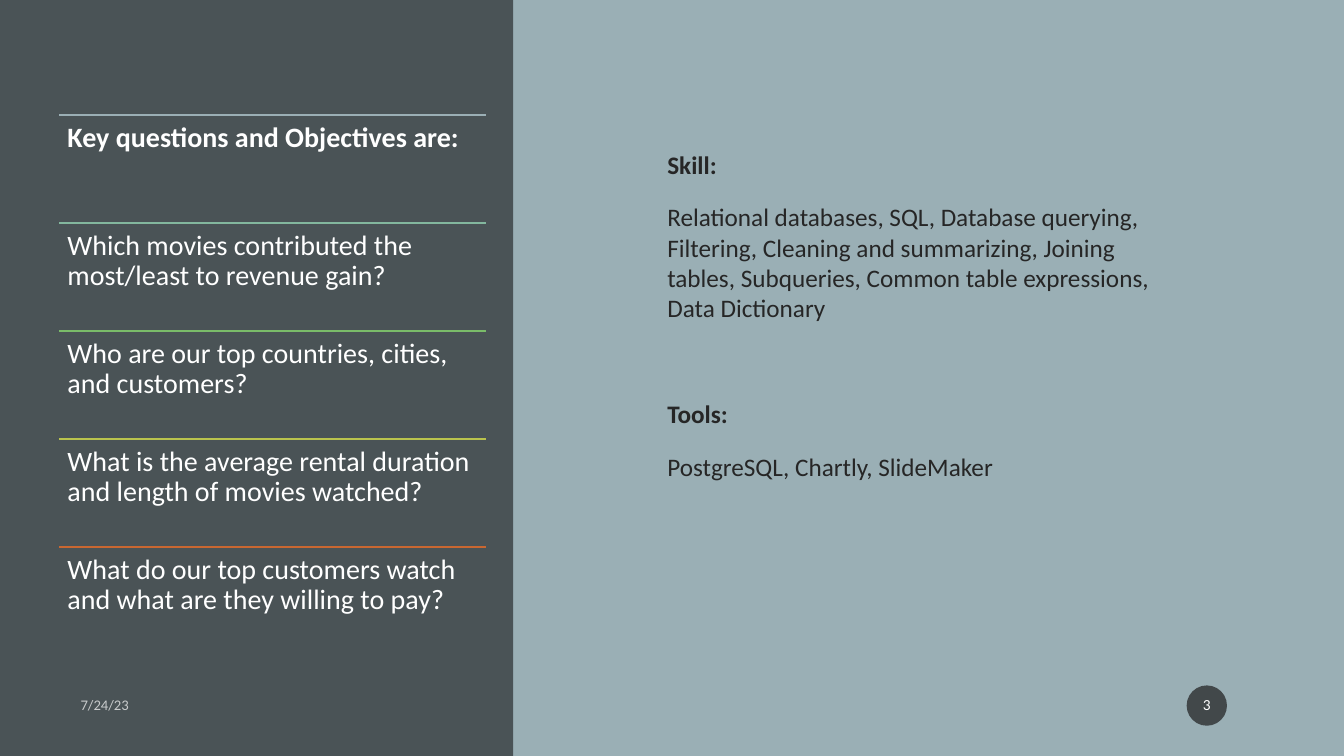
from lxml.etree import SubElement
from pptx import Presentation
from pptx.dml.color import RGBColor
from pptx.enum.shapes import MSO_CONNECTOR, MSO_SHAPE
from pptx.enum.text import MSO_ANCHOR, PP_ALIGN
from pptx.oxml.ns import qn
from pptx.util import Inches, Pt

WIDTH, HEIGHT = Inches(13.33), Inches(7.5)
COLUMN, ROW = WIDTH / 160, HEIGHT / 90

MIST = RGBColor(0x9A, 0xAF, 0xB5)
SLATE = RGBColor(0x4A, 0x53, 0x56)
INK = RGBColor(0x26, 0x26, 0x26)
BADGE = RGBColor(0x1D, 0x1D, 0x1D)
WHITE = RGBColor(0xFF, 0xFF, 0xFF)
STEEL = RGBColor(0x9B, 0xAF, 0xB5)
SAGE = RGBColor(0x83, 0xB7, 0x9E)
GREEN = RGBColor(0x7A, 0xBC, 0x69)
LIME = RGBColor(0xBA, 0xC3, 0x4D)
RUST = RGBColor(0xC9, 0x67, 0x31)

QUESTIONS = [
    ("Key questions and Objectives are:", STEEL),
    ("Which movies contributed the most/least to revenue gain?", SAGE),
    ("Who are our top countries, cities, and customers?", GREEN),
    ("What is the average rental duration and length of movies watched?", LIME),
    ("What do our top customers watch and what are they willing to pay?", RUST),
]
SKILLS = [
    ("Skill:", True, 0),
    ("Relational databases, SQL, Database querying, Filtering, Cleaning and "
     "summarizing, Joining tables, Subqueries, Common table expressions, "
     "Data Dictionary", False, 10),
    ("Tools:", True, 48),
    ("PostgreSQL, Chartly, SlideMaker", False, 10),
]


def place(box):
    """Turn a box in grid columns and rows into slide lengths."""
    left, top, width, height = box
    return (round(left * COLUMN), round(top * ROW),
            round(width * COLUMN), round(height * ROW))


def apply(target, values):
    """Set each attribute named in a dict of format values."""
    for name, value in values.items():
        setattr(target, name, value)


def fade(fill, percent):
    """Make a solid fill partly transparent."""
    color = next(fill.iter(qn("a:srgbClr")))
    SubElement(color, qn("a:alpha"), val=str(percent * 1000))


def write(paragraph, text, color, size, bold=False, **layout):
    """Write one run of text in a paragraph and return it."""
    run = paragraph.add_run()
    run.text = text
    apply(run.font, {"name": "Calibri", "size": Pt(size), "bold": bold})
    run.font.color.rgb = color
    apply(paragraph, layout)
    return run


def add_text_frame(slide, box, **layout):
    """Add a wrapping text box and return its frame."""
    frame = slide.shapes.add_textbox(*place(box)).text_frame
    apply(frame, {"word_wrap": True, **layout})
    return frame


def add_solid(slide, kind, box, color):
    """Add a plain filled shape without outline or shadow."""
    solid = slide.shapes.add_shape(kind, *place(box))
    solid.shadow.inherit = False
    solid.fill.solid()
    solid.fill.fore_color.rgb = color
    solid.line.fill.background()
    return solid


def add_questions(slide, box):
    """Stack the questions in equal rows, each under its coloured rule."""
    left, top, width, height = box
    step = height / len(QUESTIONS)
    inset = Inches(0.08)
    margins = {f"margin_{side}": inset for side in ("left", "top", "right", "bottom")}
    for index, (question, color) in enumerate(QUESTIONS):
        row = (left, top + index * step, width, step)
        x, y, length, _ = place(row)
        rule = slide.shapes.add_connector(MSO_CONNECTOR.STRAIGHT, x, y, x + length, y)
        rule.line.color.rgb = color
        rule.line.width = Pt(1)
        SubElement(rule._element.spPr, qn("a:effectLst"))
        frame = add_text_frame(slide, row, **margins)
        write(frame.paragraphs[0], question, WHITE, 20, index == 0, line_spacing=0.9)


def add_skills(slide, box):
    """List the skills and tools under their bold headings."""
    frame = add_text_frame(slide, box)
    for index, (text, bold, gap) in enumerate(SKILLS):
        paragraph = frame.add_paragraph() if index else frame.paragraphs[0]
        write(paragraph, text, INK, 18, bold, space_before=Pt(gap), space_after=Pt(6))


def add_footer(slide, box):
    """Put the date at the left and the round page badge at the right."""
    left, top, width, height = box
    date_frame = add_text_frame(slide, (left, top + 0.24, 36.12, 4.2),
                                vertical_anchor=MSO_ANCHOR.MIDDLE)
    date = write(date_frame.paragraphs[0], "7/24/23", WHITE, 10.5)
    fade(date._r, 70)
    badge = add_solid(slide, MSO_SHAPE.OVAL,
                      (left + width - height, top, height, height), BADGE)
    fade(badge._element.spPr, 70)
    apply(badge.text_frame, {"margin_left": Inches(0.02), "margin_right": Inches(0.02),
                             "vertical_anchor": MSO_ANCHOR.MIDDLE})
    write(badge.text_frame.paragraphs[0], "3", WHITE, 11,
          alignment=PP_ALIGN.CENTER, line_spacing=0.9)


def main():
    """Build the slide and save it."""
    deck = Presentation()
    apply(deck, {"slide_width": WIDTH, "slide_height": HEIGHT})
    slide = deck.slides.add_slide(deck.slide_layouts[6])
    slide.background.fill.solid()
    slide.background.fill.fore_color.rgb = MIST
    add_solid(slide, MSO_SHAPE.RECTANGLE, (0, 0, 61.1, 90), SLATE)
    add_skills(slide, (78.26, 17.16, 62.9, 44.76))
    add_footer(slide, (8.4, 81.6, 137.67, 4.8))
    add_questions(slide, (7.08, 13.68, 50.77, 64.3))
    deck.save("out.pptx")


if __name__ == "__main__":
    main()
